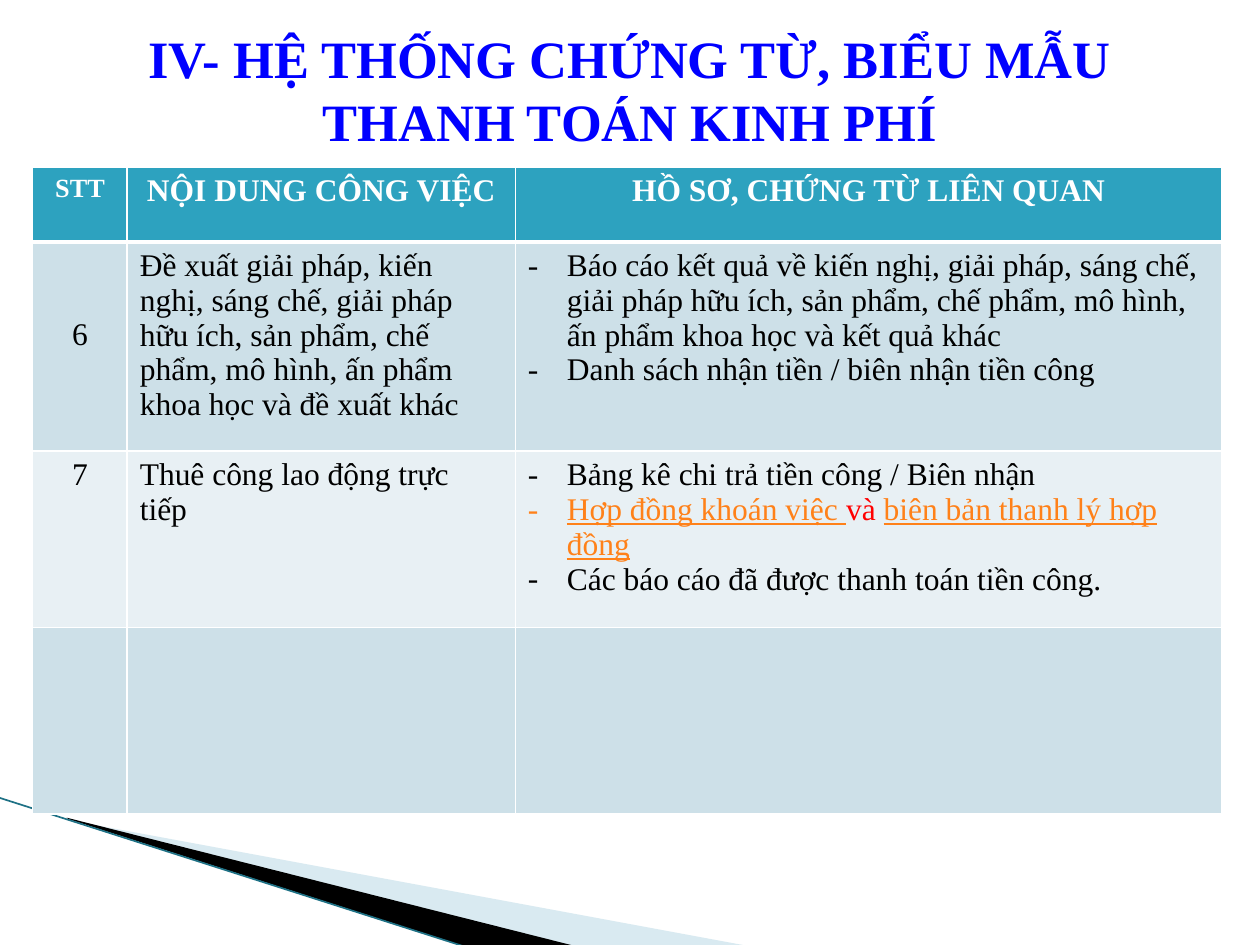
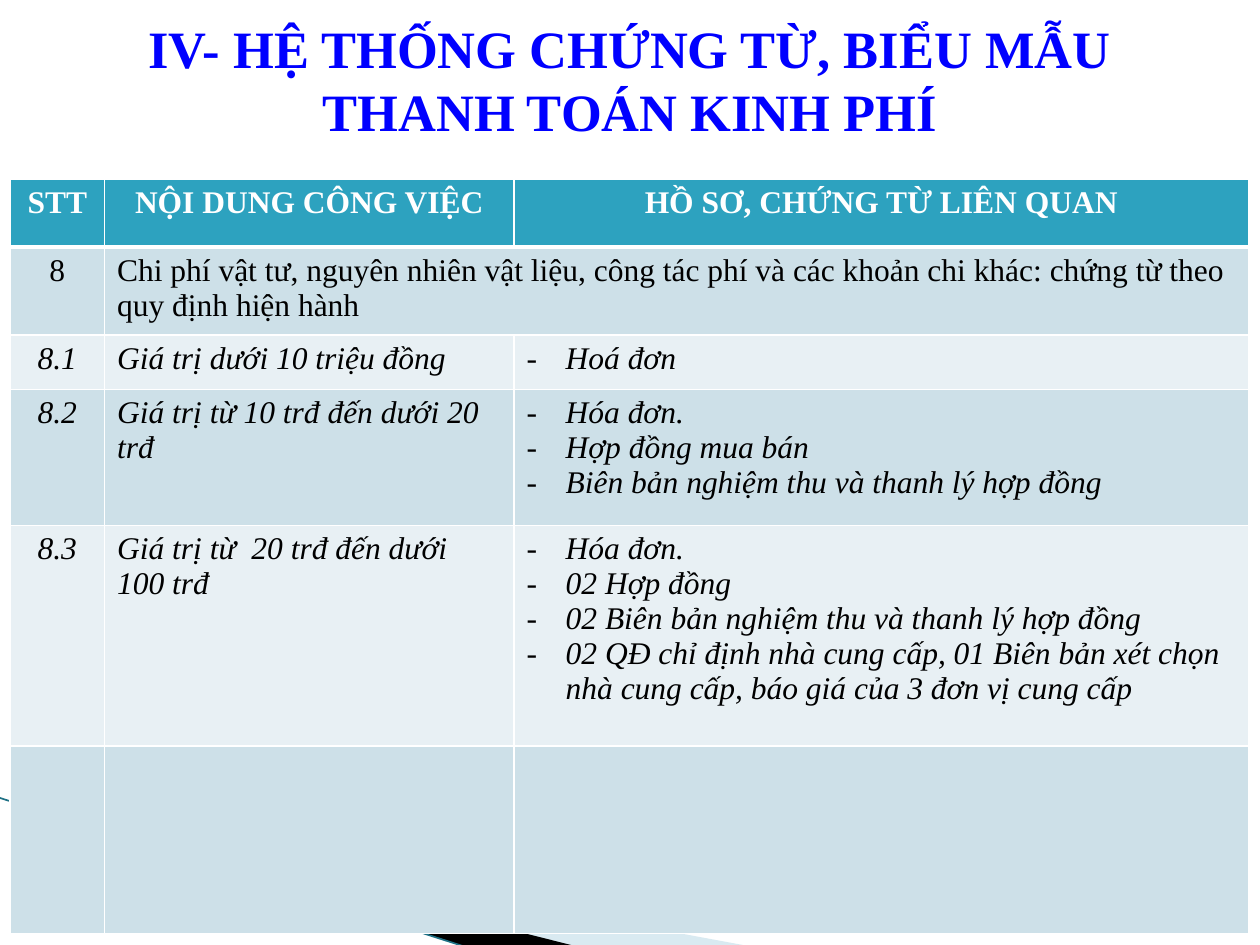
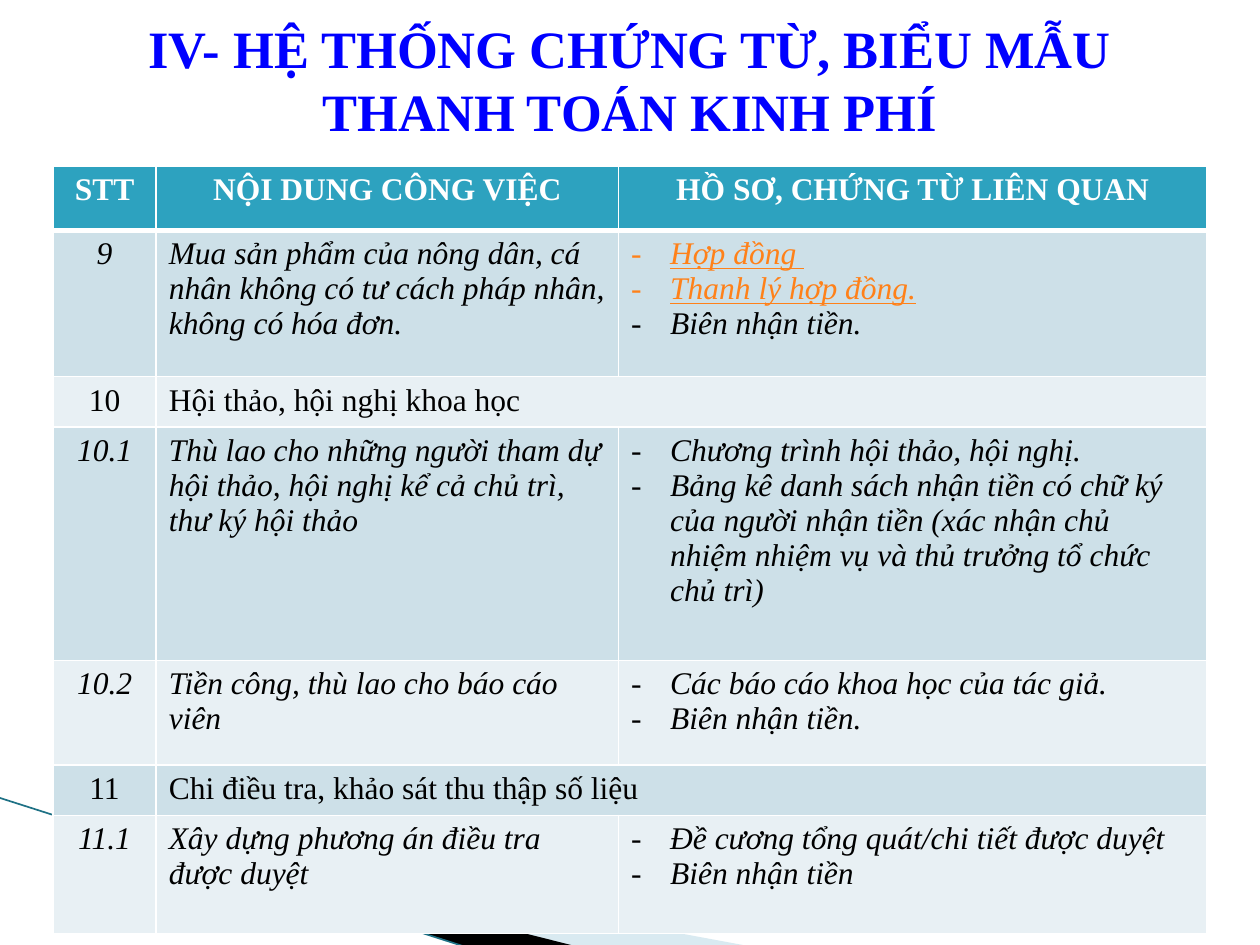
from dataclasses import dataclass

from lxml import etree
from pptx import Presentation
from pptx.dml.color import RGBColor
from pptx.enum.shapes import MSO_CONNECTOR
from pptx.enum.text import MSO_ANCHOR, PP_ALIGN
from pptx.oxml.ns import qn
from pptx.util import Inches, Pt

COLORS = {
    "title": "0000FF", "header": "2DA2BF", "band_dark": "CDE0E8",
    "band_light": "E8F0F4", "white": "FFFFFF", "text": "000000",
    "link": "FF8119", "joiner": "FF0000", "wedge": "A0CBDC", "rule": "1E7185",
}
FONT = "Times New Roman"
TITLE = "IV- HỆ THỐNG CHỨNG TỪ, BIỂU MẪU THANH TOÁN KINH PHÍ"
HEADINGS = ("STT", "NỘI DUNG CÔNG VIỆC", "HỒ SƠ, CHỨNG TỪ LIÊN QUAN")
BULLET_INDENT = 0.31


@dataclass
class Task:
    """A table row; without documents the task spans the last two columns."""
    height: float
    number: str = ""
    work: str = ""
    documents: tuple = ()
    italic: bool = False
    number_drop: float = 0.05


def link(text):
    return text, "link"


class Deck:
    def __init__(self):
        self.prs = Presentation()
        self.prs.slide_width, self.prs.slide_height = Inches(10), Inches(7.5)
        self.slide = None

    def color(self, name):
        return RGBColor.from_string(COLORS[name])

    def new_slide(self, title_top):
        self.slide = self.prs.slides.add_slide(self.prs.slide_layouts[6])
        self.corner()
        self.title(title_top)

    # Decoration in the lower left corner
    def corner(self):
        self.wedge([(0.55, 6.51), (5.95, 7.51), (4.56, 7.51), (0.55, 6.5)], "wedge", 40)
        self.wedge([(0.53, 6.49), (4.57, 7.51), (3.72, 7.52), (0.54, 6.5)], "text")
        rule = self.slide.shapes.add_connector(
            MSO_CONNECTOR.STRAIGHT, Inches(-0.01), Inches(6.33), Inches(3.71), Inches(7.52))
        rule.line.color.rgb = self.color("rule")
        rule.line.width = Pt(0.95)
        etree.SubElement(rule._element.spPr, qn("a:effectLst"))

    def wedge(self, points, color, opacity=100):
        corners = [(Inches(x), Inches(y)) for x, y in points]
        builder = self.slide.shapes.build_freeform(*corners[0])
        builder.add_line_segments(corners[1:], close=True)
        wedge = builder.convert_to_shape()
        wedge.shadow.inherit = False
        wedge.fill.solid()
        wedge.fill.fore_color.rgb = self.color(color)
        wedge.line.fill.background()
        if opacity < 100:
            fill_color = wedge._element.spPr.find(".//" + qn("a:srgbClr"))
            etree.SubElement(fill_color, qn("a:alpha"), val=str(opacity * 1000))

    def title(self, top):
        box = self.slide.shapes.add_textbox(Inches(0.5), Inches(top), Inches(9), Inches(1.25))
        frame = box.text_frame
        frame.word_wrap = True
        frame.vertical_anchor = MSO_ANCHOR.MIDDLE
        frame.paragraphs[0].alignment = PP_ALIGN.CENTER
        self.run(frame.paragraphs[0], TITLE, 30, "title", bold=True)

    def run(self, paragraph, text, size=18, color="text", bold=False, italic=False):
        run = paragraph.add_run()
        run.text = text
        font = run.font
        font.name, font.size, font.bold, font.italic = FONT, Pt(size), bold, italic
        font.underline = color == "link"
        font.color.rgb = self.color(color)

    # Table parts
    def cell_style(self, cell, fill, top=1, bottom=1):
        tc_pr = cell._tc.get_or_add_tcPr()
        for side, width in zip("LRTB", (1, 1, top, bottom)):
            border = etree.SubElement(tc_pr, qn(f"a:ln{side}"), w=str(Pt(width)))
            solid = etree.SubElement(border, qn("a:solidFill"))
            etree.SubElement(solid, qn("a:srgbClr"), val=COLORS["white"])
        cell.fill.solid()
        cell.fill.fore_color.rgb = self.color(fill)

    def document_list(self, cell, documents, italic):
        frame = cell.text_frame
        for i, document in enumerate(documents):
            paragraph = frame.add_paragraph() if i else frame.paragraphs[0]
            p_pr = paragraph._p.get_or_add_pPr()
            p_pr.set("marL", str(Inches(BULLET_INDENT)))
            p_pr.set("indent", str(Inches(-BULLET_INDENT)))
            etree.SubElement(p_pr, qn("a:buFont"), typeface=FONT)
            etree.SubElement(p_pr, qn("a:buChar"), char="-")
            pieces = document if isinstance(document, list) else [(document, "text")]
            for text, color in pieces:
                self.run(paragraph, text, color=color, italic=italic)

    def task_table(self, left, top, widths, header_height, tasks, number_heading_size=18):
        heights = [header_height] + [task.height for task in tasks]
        table = self.slide.shapes.add_table(
            len(heights), len(widths), Inches(left), Inches(top),
            Inches(sum(widths)), Inches(sum(heights))).table
        table.first_row = table.horz_banding = False
        for column, width in zip(table.columns, widths):
            column.width = Inches(width)
        for row, height in zip(table.rows, heights):
            row.height = Inches(height)

        # Header row
        for i, heading in enumerate(HEADINGS):
            cell = table.cell(0, i)
            self.cell_style(cell, "header", bottom=3)
            paragraph = cell.text_frame.paragraphs[0]
            paragraph.alignment = PP_ALIGN.CENTER
            self.run(paragraph, heading, 18 if i else number_heading_size, "white", bold=True)

        # Task rows
        for i, task in enumerate(tasks, start=1):
            cells = [table.cell(i, j) for j in range(len(widths))]
            for cell in cells:
                self.cell_style(cell, "band_dark" if i % 2 else "band_light",
                                top=3 if i == 1 else 1)
            if not task.number:
                continue
            number, work, documents = cells
            number.margin_top = Inches(task.number_drop)
            number.text_frame.paragraphs[0].alignment = PP_ALIGN.CENTER
            self.run(number.text_frame.paragraphs[0], task.number, italic=task.italic)
            self.run(work.text_frame.paragraphs[0], task.work, italic=task.italic)
            if task.documents:
                self.document_list(documents, task.documents, task.italic)
            else:
                work.merge(documents)


def main():
    deck = Deck()

    # Tasks 6 and 7
    deck.new_slide(title_top=0.08)
    deck.task_table(0.26, 1.33, (0.75, 3.08, 5.61), 0.59, [
        Task(1.66, "6", "Đề xuất giải pháp, kiến nghị, sáng chế, giải pháp hữu ích, sản phẩm, "
             "chế phẩm, mô hình, ấn phẩm khoa học và đề xuất khác",
             ("Báo cáo kết quả về kiến nghị, giải pháp, sáng chế, giải pháp hữu ích, sản phẩm, "
              "chế phẩm, mô hình, ấn phẩm khoa học và kết quả khác",
              "Danh sách nhận tiền / biên nhận tiền công"), number_drop=0.6),
        Task(1.4, "7", "Thuê công lao động trực tiếp",
             ("Bảng kê chi trả tiền công / Biên nhận",
              [link("Hợp đồng khoán việc "), ("và ", "joiner"),
               link("biên bản thanh lý hợp đồng")],
              "Các báo cáo đã được thanh toán tiền công.")),
        Task(1.48),
    ], number_heading_size=15)

    # Task 8
    deck.new_slide(title_top=0)
    deck.task_table(0.08, 1.42, (0.75, 3.25, 5.83), 0.54, [
        Task(0.65, "8", "Chi phí vật tư, nguyên nhiên vật liệu, công tác phí và các khoản chi "
             "khác: chứng từ theo quy định hiện hành"),
        Task(0.43, "8.1", "Giá trị dưới 10 triệu đồng", ("Hoá đơn",), True),
        Task(1.08, "8.2", "Giá trị từ 10 trđ đến dưới 20 trđ",
             ("Hóa đơn.", "Hợp đồng mua bán", "Biên bản nghiệm thu và thanh lý hợp đồng"), True),
        Task(1.75, "8.3", "Giá trị từ  20 trđ đến dưới 100 trđ",
             ("Hóa đơn.", "02 Hợp đồng", "02 Biên bản nghiệm thu và thanh lý hợp đồng",
              "02 QĐ chỉ định nhà cung cấp, 01 Biên bản xét chọn nhà cung cấp, "
              "báo giá của 3 đơn vị cung cấp"), True),
        Task(1.49),
    ])

    # Tasks 9 to 11
    deck.new_slide(title_top=0)
    deck.task_table(0.42, 1.32, (0.82, 3.67, 4.67), 0.51, [
        Task(1.16, "9", "Mua sản phẩm của nông dân, cá nhân không có tư cách pháp nhân, "
             "không có hóa đơn.",
             ([link("Hợp đồng ")], [link("Thanh lý hợp đồng.")], "Biên nhận tiền."), True),
        Task(0.37, "10", "Hội thảo, hội nghị khoa học"),
        Task(1.85, "10.1", "Thù lao cho những người tham dự hội thảo, hội nghị kể cả chủ trì, "
             "thư ký hội thảo",
             ("Chương trình hội thảo, hội nghị.",
              "Bảng kê danh sách nhận tiền có chữ ký của người nhận tiền "
              "(xác nhận chủ nhiệm nhiệm vụ và thủ trưởng tổ chức chủ trì)"), True),
        Task(0.83, "10.2", "Tiền công, thù lao cho báo cáo viên",
             ("Các báo cáo khoa học của tác giả.", "Biên nhận tiền."), True),
        Task(0.37, "11", "Chi điều tra, khảo sát thu thập số liệu"),
        Task(0.94, "11.1", "Xây dựng phương án điều tra được duyệt",
             ("Đề cương tổng quát/chi tiết được duyệt", "Biên nhận tiền"), True),
    ])

    deck.prs.save("out.pptx")


if __name__ == "__main__":
    main()
